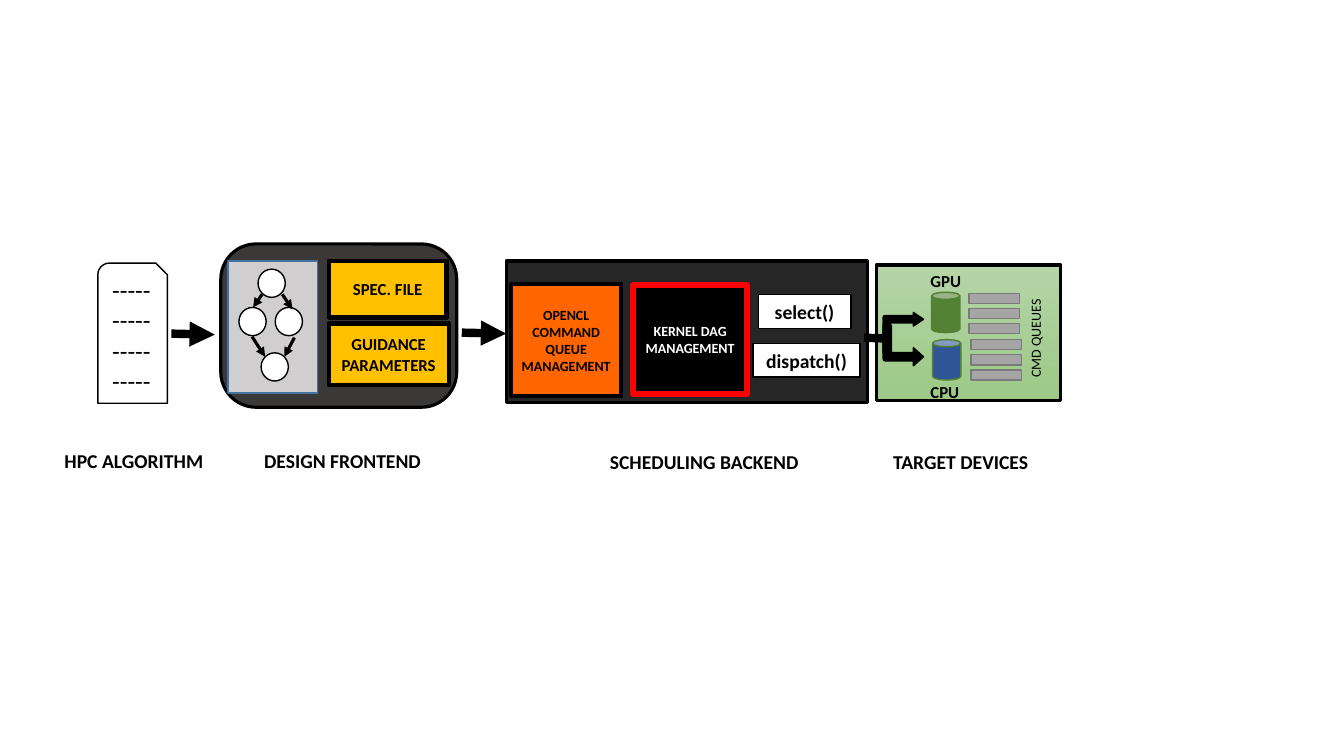
from lxml.etree import SubElement
from pptx import Presentation
from pptx.dml.color import RGBColor
from pptx.enum.shapes import MSO_CONNECTOR, MSO_SHAPE
from pptx.enum.text import MSO_ANCHOR, PP_ALIGN
from pptx.oxml.ns import qn
from pptx.util import Inches, Pt

presentation = Presentation()
presentation.slide_width, presentation.slide_height = Inches(13.33), Inches(7.5)
slide = presentation.slides.add_slide(presentation.slide_layouts[6])


def add_item(box, text="", kind=None, fill=None, line="000000", weight=1, adjustments=(),
             size=14, color="000000", bold=True, inset=0.1, rotation=0):
    """Add a shape of the given kind, or a left-aligned text box without one."""
    frame_box = [Inches(value) for value in box]
    if kind is None:
        shape = slide.shapes.add_textbox(*frame_box)
    else:
        shape = slide.shapes.add_shape(kind, *frame_box)
        shape.shadow.inherit = False
        for index, value in enumerate(adjustments):
            shape.adjustments[index] = value
        if fill:
            shape.fill.solid()
            shape.fill.fore_color.rgb = RGBColor.from_string(fill)
        else:
            shape.fill.background()
        shape.line.color.rgb = RGBColor.from_string(line)
        shape.line.width = Pt(weight)
    shape.rotation = rotation
    if text:
        frame = shape.text_frame
        frame.word_wrap = True
        frame.margin_left = frame.margin_right = Inches(inset)
        frame.vertical_anchor = MSO_ANCHOR.MIDDLE if kind else MSO_ANCHOR.TOP
        frame.text = text
        for paragraph in frame.paragraphs:
            paragraph.alignment = PP_ALIGN.CENTER if kind else PP_ALIGN.LEFT
            font = paragraph.font
            font.name, font.size, font.bold = "Calibri", Pt(size), bold
            font.color.rgb = RGBColor.from_string(color)
    return shape


def add_line(start_x, start_y, end_x, end_y, weight, arrow=True):
    connector = slide.shapes.add_connector(
        MSO_CONNECTOR.STRAIGHT, *[Inches(value) for value in (start_x, start_y, end_x, end_y)])
    connector.line.color.rgb = RGBColor.from_string("000000")
    connector.line.width = Pt(weight)
    if arrow:
        SubElement(connector.line._get_or_add_ln(), qn("a:tailEnd"), type="triangle")
    SubElement(connector._element.spPr, qn("a:effectLst"))


# Stage labels
for left, top, width, label in [
    (0.54, 4.4, 2.32, "HPC ALGORITHM"),
    (2.52, 4.4, 2.11, "DESIGN FRONTEND"),
    (5.95, 4.41, 2.25, "SCHEDULING BACKEND"),
    (8.76, 4.41, 1.76, "TARGET DEVICES"),
]:
    add_item((left, top, width, 0.34), label)

# Algorithm document
add_item((0.97, 2.61, 0.69, 1.39), "-" * 20, MSO_SHAPE.SNIP_ROUND_RECTANGLE, size=18, bold=False)

# Design frontend
add_item((2.19, 2.42, 2.34, 1.62), kind=MSO_SHAPE.ROUNDED_RECTANGLE, fill="3B3838",
         weight=2.25, adjustments=[0.216])
for box, text in [
    ((3.26, 2.59, 1.17, 0.56), "SPEC. FILE"),
    ((3.26, 3.21, 1.19, 0.61), "GUIDANCE\nPARAMETERS"),
]:
    add_item(box, text, MSO_SHAPE.RECTANGLE, fill="FFC000", weight=3, size=12)

# Task graph
add_item((2.26, 2.59, 0.89, 1.31), kind=MSO_SHAPE.RECTANGLE, fill="D0CECE", line="43739E")
for left, top in [(2.56, 2.67), (2.37, 3.05), (2.73, 3.05), (2.59, 3.5)]:
    add_item((left, top, 0.27, 0.28), kind=MSO_SHAPE.OVAL, fill="FFFFFF")
for edge in [(2.6, 2.92, 2.51, 3.05), (2.5, 3.34, 2.63, 3.54),
             (2.8, 2.92, 2.9, 3.07), (2.92, 3.35, 2.82, 3.54)]:
    add_line(*edge, weight=2.25)

# Scheduling backend
add_item((5.02, 2.59, 3.58, 1.4), kind=MSO_SHAPE.ROUNDED_RECTANGLE, fill="262626",
         weight=2.25, adjustments=[0])
add_item((5.07, 2.82, 1.09, 1.11), "OPENCL\nCOMMAND QUEUE\nMANAGEMENT", MSO_SHAPE.RECTANGLE,
         fill="FF6600", weight=3, size=10, inset=0.05)
add_item((6.28, 2.83, 1.13, 1.08), "KERNEL DAG MANAGEMENT", MSO_SHAPE.RECTANGLE,
         fill="000000", line="FF0000", weight=4.5, size=10, color="FFFFFF")
for box, text in [((7.52, 2.92, 0.92, 0.34), "select()"), ((7.47, 3.41, 1.06, 0.33), "dispatch()")]:
    add_item(box, text, MSO_SHAPE.RECTANGLE, fill="FFFFFF")

# Target devices
devices = add_item((8.69, 2.63, 1.83, 1.34), kind=MSO_SHAPE.RECTANGLE, weight=2.25)
devices.fill.gradient()
devices.fill.gradient_angle = 270
for stop, color in zip(devices.fill.gradient_stops, ["B5D5A7", "9CC987"]):
    stop.color.rgb = RGBColor.from_string(color)
for name, label_top, left, top, color in [
    ("CPU", 3.74, 9.25, 3.37, "2F5597"),
    ("GPU", 2.64, 9.24, 2.9, "548235"),
]:
    add_item((left, top, 0.28, 0.4), kind=MSO_SHAPE.CAN, fill=color, line="538035")
    add_item((9.13, label_top, 0.57, 0.3), name, size=12)

# Command queues, three for each device
for first_left, first_top in [(9.61, 2.91), (9.63, 3.37)]:
    for row in range(3):
        add_item((first_left, first_top + 0.15 * row, 0.5, 0.1), kind=MSO_SHAPE.RECTANGLE,
                 fill="A5A5A5", line="7A7A7A")
add_item((9.69, 3.13, 1.16, 0.27), "CMD QUEUES", size=10, bold=False, rotation=270)

# Fork from the backend to both devices
cpu_arrow = add_item((8.76, 3.23, 0.4, 0.4), kind=MSO_SHAPE.BENT_ARROW, fill="000000",
                     adjustments=[0.205, 0.225, 0.25, 0.054])
cpu_arrow._element.spPr.xfrm.set("flipV", "1")
add_item((8.76, 3.1, 0.4, 0.4), kind=MSO_SHAPE.BENT_ARROW, fill="000000",
         adjustments=[0.185, 0.17, 0.25, 0.044])
add_line(8.57, 3.35, 8.82, 3.36, weight=6, arrow=False)

# Arrows between the stages
add_line(1.7, 3.31, 2.13, 3.32, weight=6)
add_line(4.58, 3.3, 5.02, 3.31, weight=6)

presentation.save("out.pptx")
